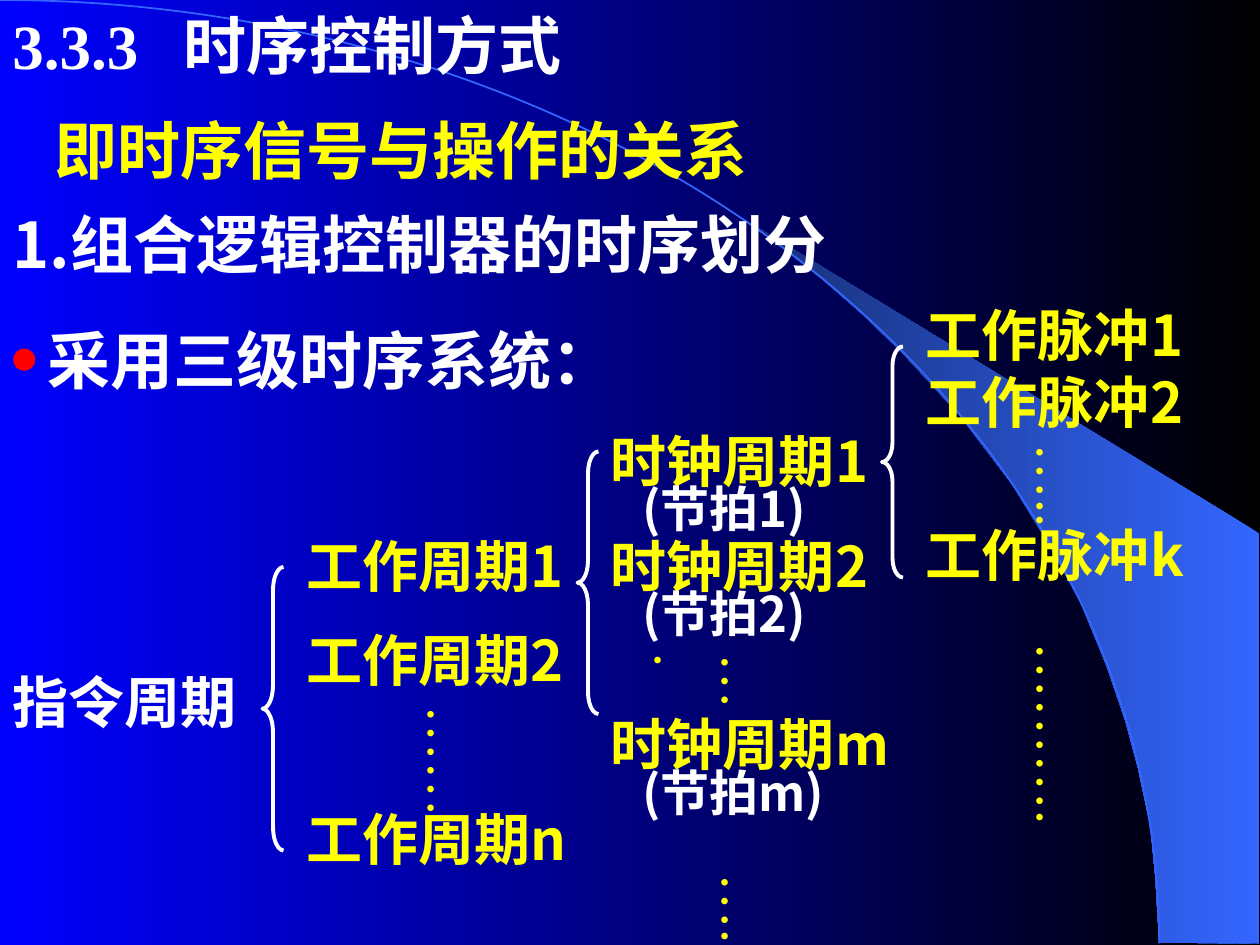
from lxml.etree import SubElement
from pptx import Presentation
from pptx.dml.color import RGBColor
from pptx.enum.shapes import MSO_SHAPE
from pptx.enum.text import MSO_AUTO_SIZE
from pptx.oxml.ns import qn
from pptx.util import Pt

WHITE, YELLOW, RED = "FFFFFF", "FFFF00", "FF0000"
SKY, NAVY, BLUE, BLACK = "3366FF", "172F75", "0000FF", "000000"
SANS, SERIF = "Noto Sans CJK SC", "Times New Roman"


def color(hex_text):
    return RGBColor.from_string(hex_text)


def fill_gradient(fill, first, last):
    """Run a gradient from the first colour at the right to the last at the left."""
    fill.gradient()
    fill.gradient_angle = 180
    for stop, hex_text, position in zip(fill.gradient_stops, (first, last), (0, 1)):
        stop.color.rgb = color(hex_text)
        stop.position = position


class TimingSlide:
    def __init__(self, slide):
        self.slide = slide
        self.shapes = slide.shapes

    def background(self, first, last):
        fill_gradient(self.slide.background.fill, first, last)

    def wedge(self, points, first, last):
        corners = [(Pt(x), Pt(y)) for x, y in points]
        builder = self.shapes.build_freeform(*corners[0])
        builder.add_line_segments(corners[1:], close=True)
        shape = builder.convert_to_shape()
        shape.shadow.inherit = False
        fill_gradient(shape.fill, first, last)
        shape.line.fill.background()

    def outline(self, kind, left, top, width, height, line_color, weight):
        shape = self.shapes.add_shape(kind, Pt(left), Pt(top), Pt(width), Pt(height))
        shape.shadow.inherit = False
        shape.fill.background()
        shape.line.color.rgb = color(line_color)
        shape.line.width = Pt(weight)
        return shape

    def brace(self, left, top, height):
        width = 12
        shape = self.outline(MSO_SHAPE.LEFT_BRACE, left, top, width, height, WHITE, 2.25)
        shape.adjustments[0] = height / 12 / width

    def text(self, words, left, top, width, height, size, text_color,
             latin=SANS, asian=SANS, bold=True, margins=(7.2, 3.6)):
        box = self.shapes.add_textbox(Pt(left), Pt(top), Pt(width), Pt(height))
        frame = box.text_frame
        frame.word_wrap = True
        frame.auto_size = MSO_AUTO_SIZE.SHAPE_TO_FIT_TEXT
        frame.margin_left = frame.margin_right = Pt(margins[0])
        frame.margin_top = frame.margin_bottom = Pt(margins[1])
        frame.text = words
        paragraph = frame.paragraphs[0]
        for run in paragraph.runs:
            run.font.name = latin
            run.font.size = Pt(size)
            run.font.bold = bold
            run.font.color.rgb = color(text_color)
            SubElement(run.font._element, qn("a:ea"), typeface=asian)
        return box

    def vertical_dots(self, dots, left, top, height):
        box = self.text(dots, left, top, 52.4, height, 32, YELLOW,
                        latin=SERIF, asian=SERIF, bold=False, margins=(3.6, 7.2))
        box.text_frame._txBody.bodyPr.set("vert", "eaVert")

    def tab_stop(self, box, position):
        properties = box.text_frame.paragraphs[0]._p.get_or_add_pPr()
        tabs = SubElement(properties, qn("a:tabLst"))
        SubElement(tabs, qn("a:tab"), pos=str(Pt(position)), algn="l")

    def bullet(self, box, bullet_color, percent, indent):
        properties = box.text_frame.paragraphs[0]._p.get_or_add_pPr()
        properties.set("marL", str(Pt(indent)))
        properties.set("indent", str(-Pt(indent)))
        holder = SubElement(properties, qn("a:buClr"))
        SubElement(holder, qn("a:srgbClr"), val=bullet_color)
        SubElement(properties, qn("a:buSzPct"), val=str(percent * 1000))
        SubElement(properties, qn("a:buFont"), typeface=SANS)
        SubElement(properties, qn("a:buChar"), char="●")


def main():
    presentation = Presentation()
    presentation.slide_width, presentation.slide_height = Pt(720), Pt(540)
    page = TimingSlide(presentation.slides.add_slide(presentation.slide_layouts[6]))

    page.background(BLACK, BLUE)
    page.wedge([
        (662.4, 538.6), (719.3, 539.3), (719.3, 304.6), (424, 124.6), (449.3, 143.3),
        (470.2, 159.8), (493.2, 180), (515.5, 201.6), (548.6, 237.6), (578.2, 276.5),
        (599, 310.3), (617.8, 344.9), (632.2, 380.2), (643, 411.8), (650.2, 438.5),
        (657.4, 472.3), (660.2, 501.1),
    ], SKY, NAVY)
    page.outline(MSO_SHAPE.ARC, -662.4, 0, 1324.8, 1078, SKY, 1)

    title = page.text("3.3.3\t时序控制方式", 0, 0, 408, 50, 36, WHITE, latin=SERIF)
    page.tab_stop(title, 98)
    page.text("即时序信号与操作的关系", 24, 60, 558, 50, 36, YELLOW, latin=SERIF)
    page.text("1.组合逻辑控制器的时序划分", 0, 114, 588, 50, 36, WHITE)
    system = page.text("采用三级时序系统：", 0, 180, 420, 50, 36, WHITE)
    page.bullet(system, RED, percent=39, indent=20)

    page.text("指令周期", 0, 378, 204, 46, 32, WHITE)
    levels = [
        ("工作周期", 168, 204, [("1", 300), ("2", 354), ("n", 456)]),
        ("时钟周期", 342, 198, [("1", 240), ("2", 300), ("m", 402)]),
        ("工作脉冲", 522, 198, [("1", 168), ("2", 206.5), ("k", 294)]),
    ]
    for name, left, width, entries in levels:
        for index, top in entries:
            page.text(name + index, left, top, width, 46, 32, YELLOW)
    for index, top in [("1", 270), ("2", 330), ("m", 432)]:
        page.text(f"(节拍{index})", 360, top, 138, 41, 28, WHITE)

    for left, top, height in [(150, 324, 162), (330, 258, 150), (504, 198, 132)]:
        page.brace(left, top, height)
    for dots, left, top, height in [
        ("……", 228, 396, 102),
        ("….", 396, 366, 48),
        ("….", 396, 492, 66),
        ("…..", 576, 246, 66),
        ("……….", 576, 360, 138),
    ]:
        page.vertical_dots(dots, left, top, height)

    presentation.save("out.pptx")


if __name__ == "__main__":
    main()
